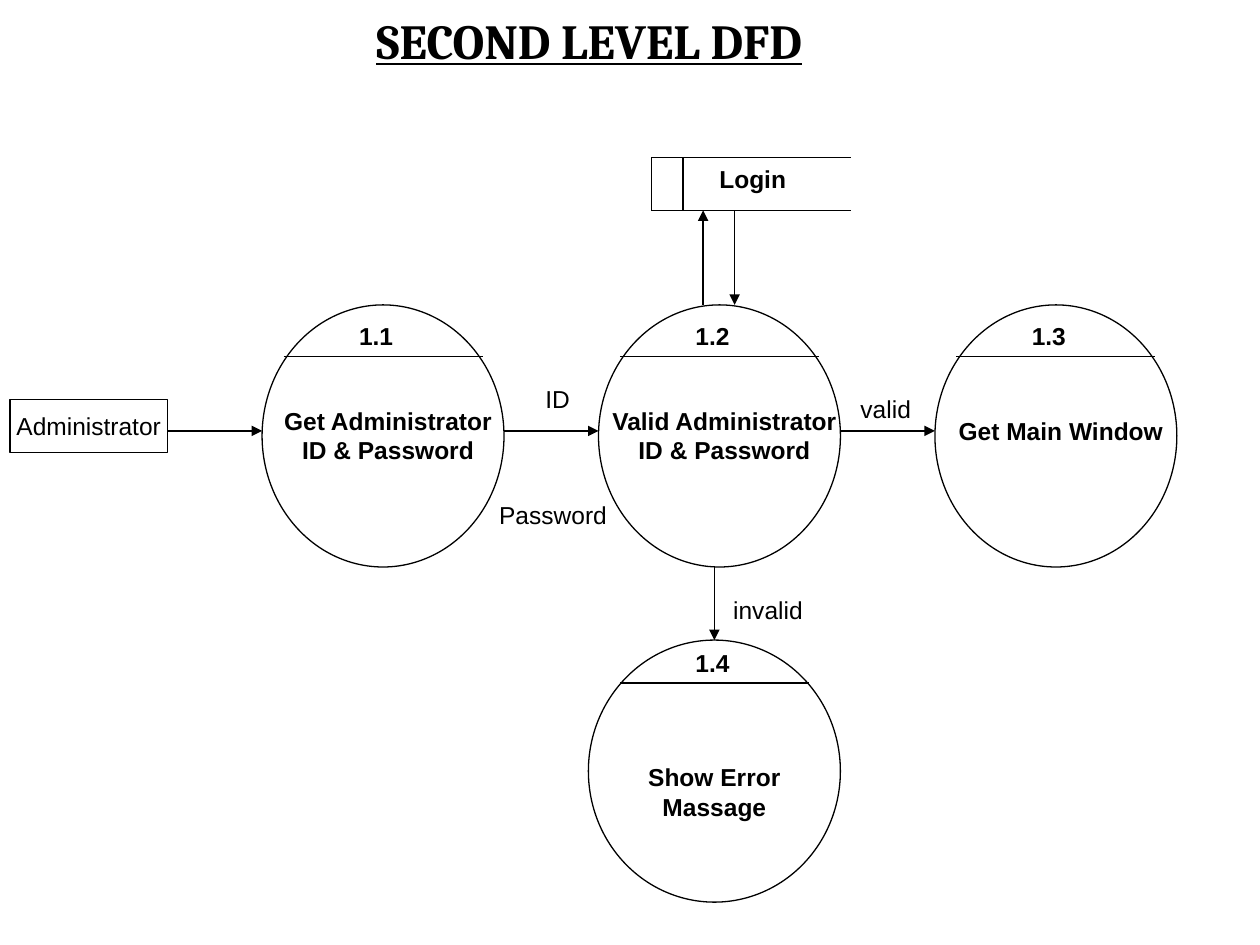
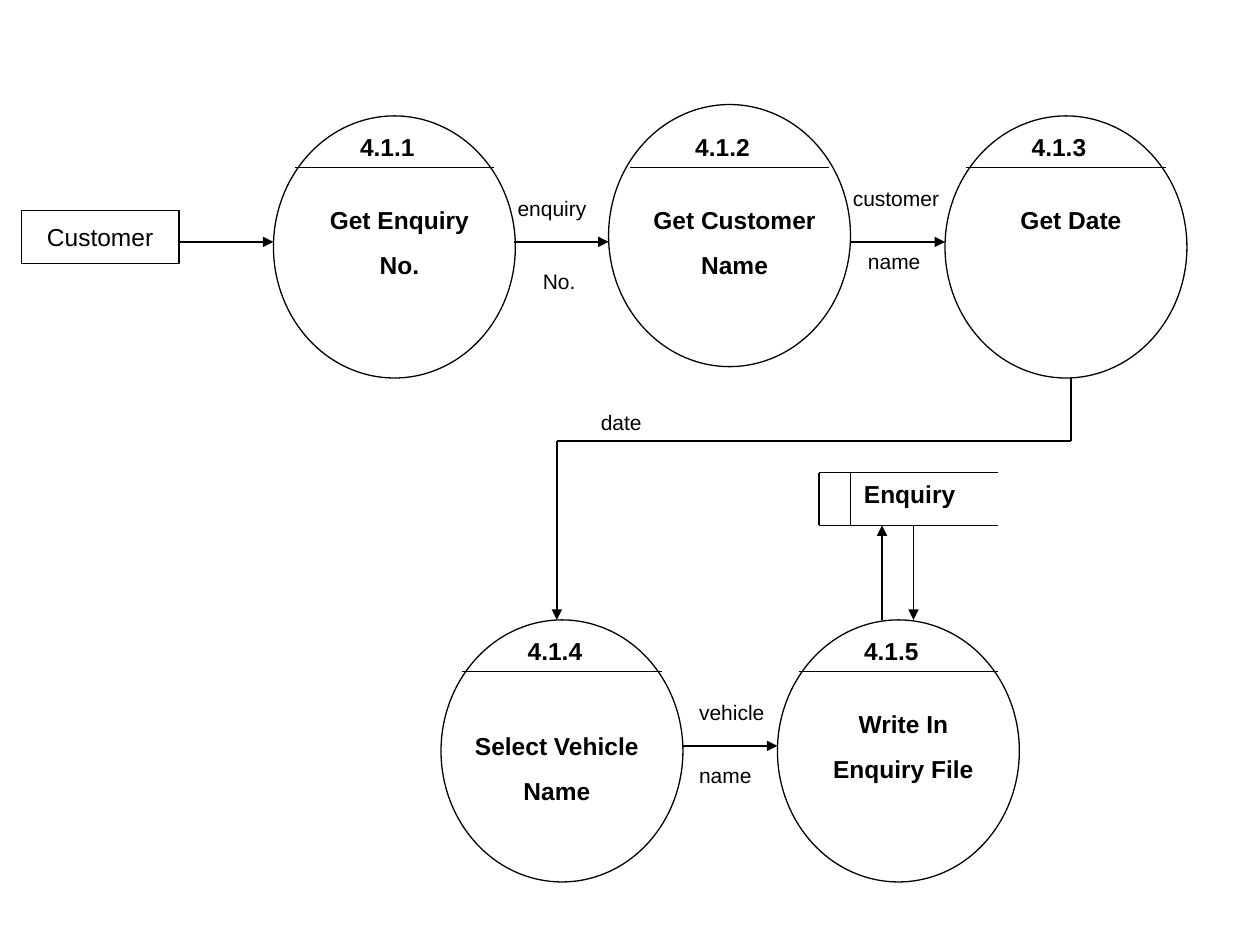
from lxml import etree
from pptx import Presentation
from pptx.dml.color import RGBColor
from pptx.enum.shapes import MSO_CONNECTOR, MSO_SHAPE
from pptx.enum.text import MSO_ANCHOR, MSO_AUTO_SIZE, PP_ALIGN
from pptx.oxml.ns import qn
from pptx.util import Inches, Pt

STRAIGHT = MSO_CONNECTOR.STRAIGHT
OVAL, RECT = MSO_SHAPE.OVAL, MSO_SHAPE.RECTANGLE
TOP, MIDDLE = MSO_ANCHOR.TOP, MSO_ANCHOR.MIDDLE
LEFT, CENTER = PP_ALIGN.LEFT, PP_ALIGN.CENTER
NO_FIT = MSO_AUTO_SIZE.NONE

COLORS = {"ink": "000000", "paper": "FFFFFF"}
INK = RGBColor.from_string(COLORS["ink"])
PAPER = RGBColor.from_string(COLORS["paper"])
THIN = Pt(0.75)

# Text formats
PLAIN = {"name": "Arial", "size": Pt(14), "bold": False}
BOLD = {**PLAIN, "bold": True}
SMALL = {**PLAIN, "size": Pt(12)}
HEAD = {"name": "Cambria", "size": Pt(28), "bold": True, "underline": True}


def write(shape, text, font, wrap=False, align=CENTER, anchor=TOP):
    frame = shape.text_frame
    frame.text = text
    layout = {"auto_size": NO_FIT, "word_wrap": wrap, "vertical_anchor": anchor,
              "margin_left": Inches(0.1), "margin_right": Inches(0.1),
              "margin_top": Inches(0.05), "margin_bottom": Inches(0.05)}
    for key, value in layout.items():
        setattr(frame, key, value)
    for para in frame.paragraphs:
        para.alignment = align
        para.space_before = Pt(8.8 if wrap else 0)
        for run in para.runs:
            run.font.color.rgb = INK
            for key, value in font.items():
                setattr(run.font, key, value)


def link(slide, x1, y1, x2, y2, arrow=False):
    line = slide.shapes.add_connector(STRAIGHT, *map(Inches, (x1, y1, x2, y2)))
    line.line.color.rgb = INK
    line.line.width = THIN
    etree.SubElement(line._element.spPr, qn("a:effectLst"))
    if arrow:
        ln = line.line._get_or_add_ln()
        etree.SubElement(ln, qn("a:tailEnd"), type="triangle")


# Circles: number, text, left, top, width, bar inset, bar y, text left, text top
# Store: name, left, right, top, text left, text width
# Labels: text, left, top, width
PAGES = [
    {
        "title": "SECOND LEVEL DFD",
        "actor": ("Administrator", 0.08, 3.17),
        "circles": [
            ("1.1", "Get Administrator ID & Password", 2.08, 2.42, 1.92, 0.17, 2.83, 2.08, 3.17),
            ("1.2", "Valid Administrator ID & Password", 4.75, 2.42, 1.92, 0.17, 2.83, 4.75, 3.17),
            ("1.3", "Get Main Window", 7.42, 2.42, 1.92, 0.17, 2.83, 7.42, 3.25),
            ("1.4", "Show Error Massage", 4.67, 5.08, 2, 0.25, 5.42, 4.67, 6),
        ],
        "store": ("Login", 5.17, 6.75, 1.25, 5.61, 0.73),
        "arrows": [
            (1.33, 3.42, 2.08, 3.42), (4, 3.42, 4.75, 3.42), (6.67, 3.42, 7.42, 3.42),
            (5.67, 4.5, 5.67, 5.08), (5.83, 1.67, 5.83, 2.42), (5.58, 2.42, 5.58, 1.67),
        ],
        "lines": [],
        "labels": [("ID", 4.23, 3, 0.39), ("Password", 3.86, 3.92, 1.06),
                   ("valid", 6.73, 3.08, 0.6), ("invalid", 5.72, 4.67, 0.75)],
        "font": PLAIN, "align": CENTER,
    },
    {
        "title": None,
        "actor": ("Customer", 0.17, 1.67),
        "circles": [
            ("4.1.1", "Get Enquiry\nNo.", 2.17, 0.92, 1.92, 0.17, 1.33, 2.17, 1.58),
            ("4.1.2", "Get Customer\nName", 4.83, 0.83, 1.92, 0.17, 1.33, 4.83, 1.58),
            ("4.1.3", "Get Date", 7.5, 0.92, 1.92, 0.17, 1.33, 7.5, 1.58),
            ("4.1.4", "Select Vehicle\nName", 3.5, 4.92, 1.92, 0.17, 5.33, 3.42, 5.75),
            ("4.1.5", "Write In\nEnquiry File", 6.17, 4.92, 1.92, 0.17, 5.33, 6.17, 5.58),
        ],
        "store": ("Enquiry", 6.5, 7.92, 3.75, 6.76, 0.92),
        "arrows": [
            (1.42, 1.92, 2.17, 1.92), (4.08, 1.92, 4.83, 1.92), (6.75, 1.92, 7.5, 1.92),
            (5.42, 5.92, 6.17, 5.92), (7.25, 4.17, 7.25, 4.92), (7, 4.92, 7, 4.17),
            (4.42, 3.5, 4.42, 4.92),
        ],
        "lines": [(4.42, 3.5, 8.5, 3.5), (8.5, 3.5, 8.5, 3)],
        "labels": [("enquiry", 4.01, 1.5, 0.74), ("No.", 4.21, 2.08, 0.46),
                   ("customer", 6.67, 1.42, 0.88), ("name", 6.79, 1.92, 0.61),
                   ("date", 4.67, 3.2, 0.52), ("vehicle", 5.45, 5.5, 0.72),
                   ("name", 5.45, 6, 0.61)],
        "font": SMALL, "align": LEFT,
    },
]

deck = Presentation()
deck.slide_width, deck.slide_height = Inches(10), Inches(7.5)

for page in PAGES:
    slide = deck.slides.add_slide(deck.slide_layouts[5 if page["title"] else 6])
    shapes = slide.shapes
    slide.background.fill.solid()
    slide.background.fill.fore_color.rgb = PAPER

    # Title
    if page["title"]:
        head = shapes.title
        head.left, head.top, head.width, head.height = map(Inches, (2.59, 0.03, 4.17, 0.57))
        write(head, page["title"], HEAD)

    # Actor box and circle outlines
    actor, left, top = page["actor"]
    box = shapes.add_shape(RECT, *map(Inches, (left, top, 1.25, 0.42)))
    write(box, actor, PLAIN, anchor=MIDDLE)
    ovals = [shapes.add_shape(OVAL, *map(Inches, (x, y, w, 2.08)))
             for _, _, x, y, w, *_ in page["circles"]]
    for shape in [box, *ovals]:
        shape.shadow.inherit = False
        shape.fill.solid()
        shape.fill.fore_color.rgb = PAPER
        shape.line.color.rgb = INK
        shape.line.width = THIN

    # Circle bars, numbers and texts
    for num, text, x, y, w, inset, bar, left, top in page["circles"]:
        link(slide, x + inset, bar, x + w - inset, bar)
        tag = shapes.add_textbox(*map(Inches, (x + inset + 0.42, bar - 0.33, 0.63, 0.34)))
        write(tag, num, BOLD)
        body = shapes.add_textbox(*map(Inches, (left, top, 2, 0.69 if "\n" in text else 0.57)))
        write(body, text, BOLD, wrap=True)

    # Data store
    name, left, right, top, start, width = page["store"]
    for y in (top, top + 0.42):
        link(slide, left, y, right, y)
    for x in (left, left + 0.25):
        link(slide, x, top, x, top + 0.42)
    write(shapes.add_textbox(*map(Inches, (start, top, width, 0.34))), name, BOLD)

    # Flows and their labels
    for ends in page["lines"]:
        link(slide, *ends)
    for ends in page["arrows"]:
        link(slide, *ends, arrow=True)
    for text, x, y, w in page["labels"]:
        label = shapes.add_textbox(*map(Inches, (x, y, w, 0.3)))
        write(label, text, page["font"], align=page["align"])

deck.save("out.pptx")
